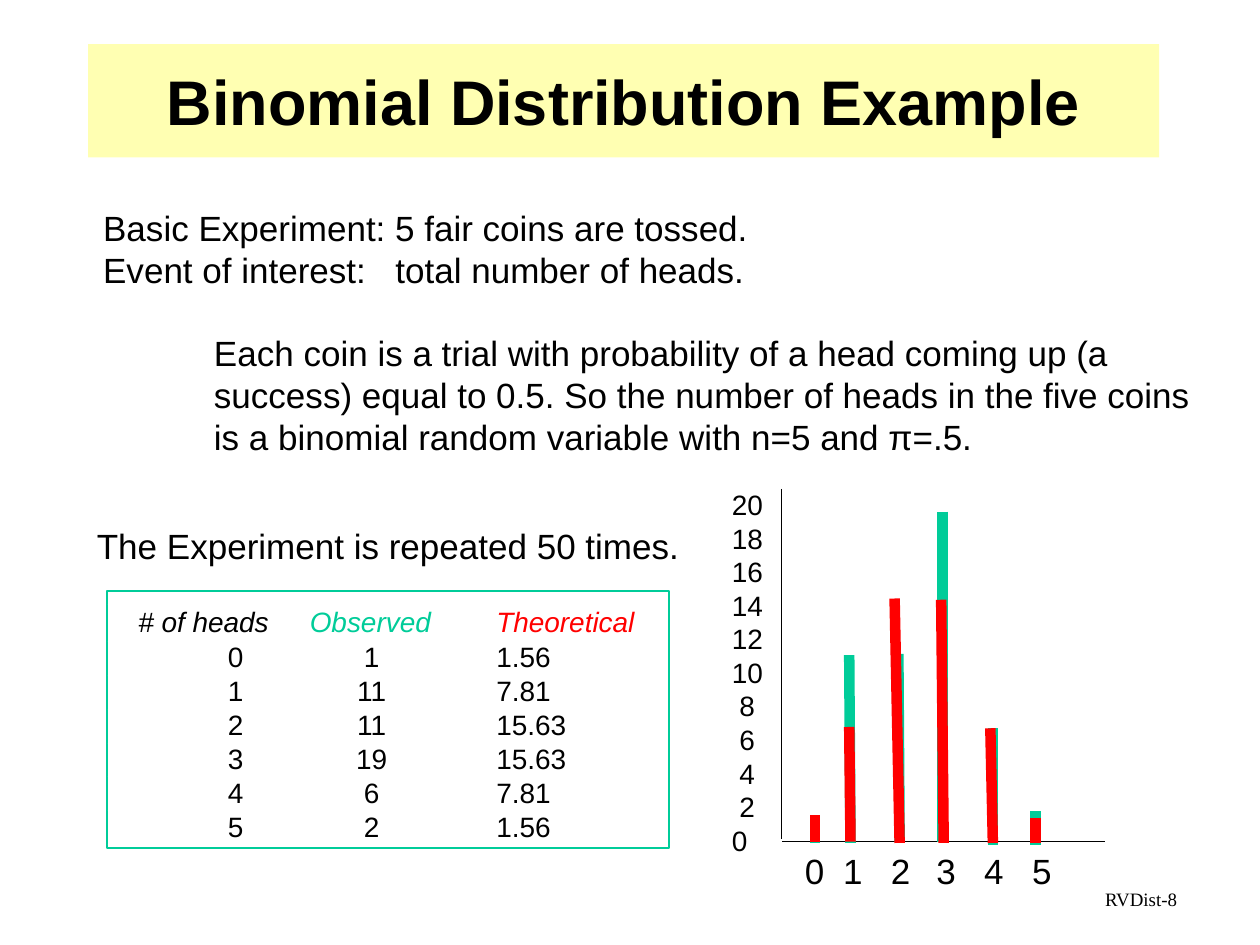
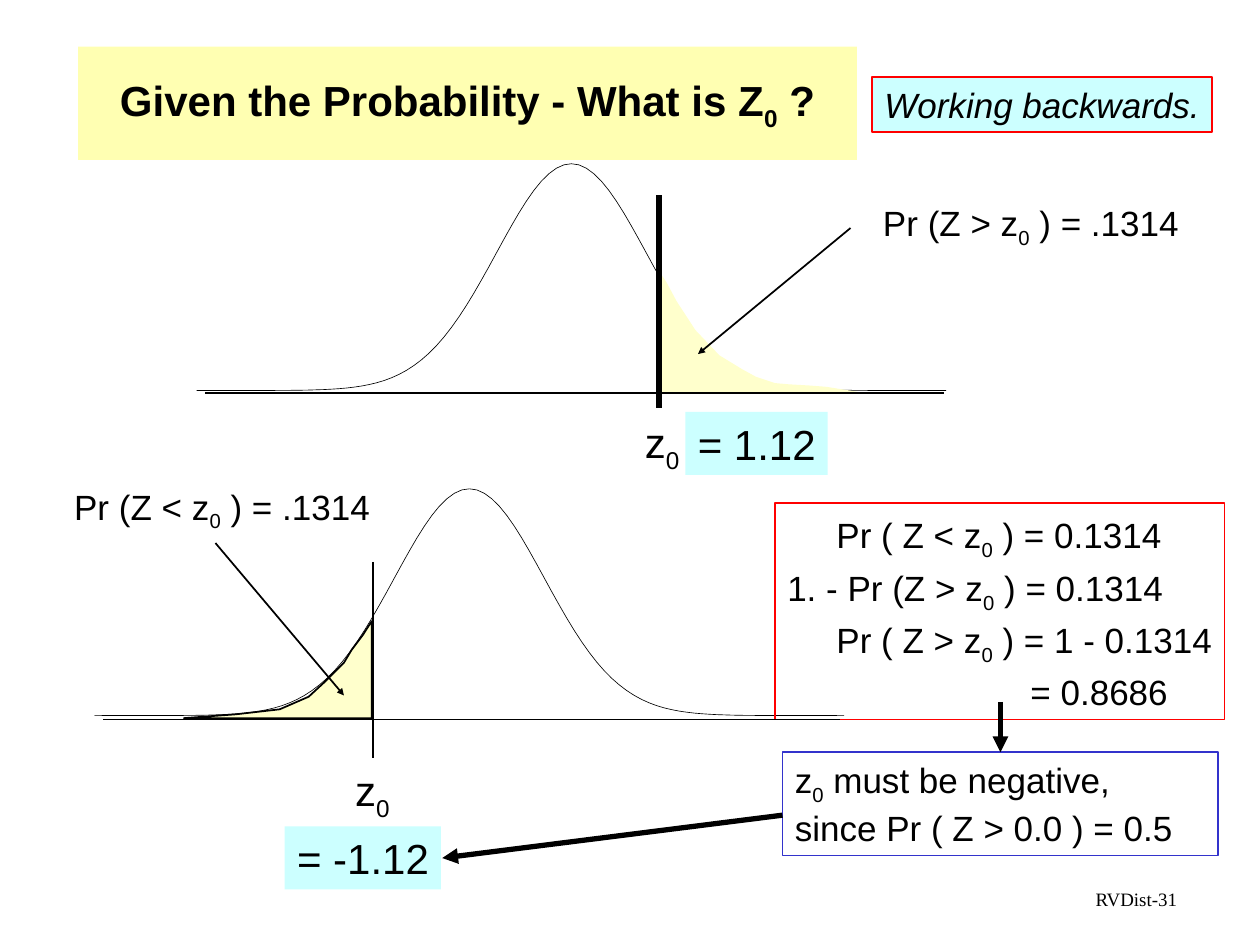
from dataclasses import dataclass, field
from math import exp
from typing import Optional

from lxml.etree import SubElement
from pptx import Presentation
from pptx.dml.color import RGBColor
from pptx.enum.shapes import MSO_CONNECTOR as Connector, MSO_SHAPE as ShapeKind
from pptx.enum.text import MSO_ANCHOR as Anchor, PP_ALIGN as Align
from pptx.oxml.ns import qn
from pptx.util import Emu, Pt

PX = 9144  # 100 px to the inch


@dataclass(frozen=True)
class Theme:
    ink: str = "000000"
    band: str = "FFFF66"
    band_alpha: int = 50
    shade: str = "FFFFCC"
    answer: str = "CCFFFF"
    green: str = "00CC99"
    red: str = "FF0000"
    blue: str = "3333CC"
    font: str = "Arial"
    footer_font: str = "Times New Roman"
    title_size: float = 36
    large: float = 24
    body: float = 20
    small: float = 16
    footer_size: float = 10.8
    hairline: float = 0.75
    bar: float = 6


THEME = Theme()


@dataclass(frozen=True)
class Run:
    text: str
    subscript: bool = False


@dataclass(frozen=True)
class Line:
    """One paragraph of text; indent and tabs are in px."""
    runs: list[Run]
    indent: int = 0
    tabs: tuple[int, ...] = ()
    tab_align: str = "l"
    spacing: Optional[float] = None


@dataclass(frozen=True)
class Style:
    size: float = THEME.body
    color: str = THEME.ink
    font: str = THEME.font
    bold: bool = False
    italic: bool = False
    align: Align = Align.LEFT


@dataclass(frozen=True)
class Box:
    left: int
    top: int
    width: int
    height: int
    lines: list[Line] = field(default_factory=list)
    style: Style = Style()
    fill: Optional[str] = None
    outline: Optional[str] = None
    outline_width: float = 1
    wrap: bool = False
    anchor: Anchor = Anchor.TOP


@dataclass(frozen=True)
class Stroke:
    start: tuple[int, int]
    end: tuple[int, int]
    width: float = 1
    color: str = THEME.ink
    arrow: Optional[str] = None


@dataclass(frozen=True)
class Column:
    heading: str
    color: str
    width: int
    align: Align
    heading_indent: int
    body_indent: int
    values: list[str]


def px(length: float) -> Emu:
    return Emu(round(length * PX))


def rgb(color: str) -> RGBColor:
    return RGBColor.from_string(color)


def plain(text: str, **options) -> Line:
    return Line([Run(text)], **options)


def z0(before: str, after: str = "", symbol: str = "z", **options) -> Line:
    """A line holding the symbol with a subscript 0."""
    runs = [Run(before + symbol), Run("0", subscript=True)]
    return Line(runs + ([Run(after)] if after else []), **options)


def write_line(paragraph, line: Line, style: Style) -> None:
    paragraph.alignment = style.align
    properties = paragraph._p.get_or_add_pPr()
    if line.indent:
        properties.set("marL", str(px(line.indent)))
        properties.set("indent", "0")
    if line.tabs:
        tab_list = SubElement(properties, qn("a:tabLst"))
        for position in line.tabs:
            SubElement(tab_list, qn("a:tab"), pos=str(px(position)), algn=line.tab_align)
    if line.spacing:
        paragraph.line_spacing = line.spacing
    for piece in line.runs:
        run = paragraph.add_run()
        run.text = piece.text
        run.font.name, run.font.size = style.font, Pt(style.size)
        run.font.bold, run.font.italic = style.bold, style.italic
        run.font.color.rgb = rgb(style.color)
        if piece.subscript:
            run._r.get_or_add_rPr().set("baseline", "-25000")


def paint(shape, fill: Optional[str], outline: Optional[str], width: float = 1) -> None:
    shape.shadow.inherit = False
    if fill:
        shape.fill.solid()
        shape.fill.fore_color.rgb = rgb(fill)
    else:
        shape.fill.background()
    if outline:
        shape.line.color.rgb = rgb(outline)
        shape.line.width = Pt(width)
    else:
        shape.line.fill.background()


def add_box(slide, box: Box):
    frame = [px(n) for n in (box.left, box.top, box.width, box.height)]
    if box.fill or box.outline:
        shape = slide.shapes.add_shape(ShapeKind.RECTANGLE, *frame)
        paint(shape, box.fill, box.outline, box.outline_width)
    else:
        shape = slide.shapes.add_textbox(*frame)
    text_frame = shape.text_frame
    text_frame.word_wrap = box.wrap
    text_frame.vertical_anchor = box.anchor
    for index, line in enumerate(box.lines):
        paragraph = text_frame.add_paragraph() if index else text_frame.paragraphs[0]
        write_line(paragraph, line, box.style)
    return shape


def add_stroke(slide, stroke: Stroke) -> None:
    ends = [px(n) for n in (*stroke.start, *stroke.end)]
    connector = slide.shapes.add_connector(Connector.STRAIGHT, *ends)
    connector.line.color.rgb = rgb(stroke.color)
    connector.line.width = Pt(stroke.width)
    if stroke.arrow:
        SubElement(connector.line._get_or_add_ln(), qn("a:tailEnd"),
                   type="triangle", w=stroke.arrow, len=stroke.arrow)
    SubElement(connector._element.spPr, qn("a:effectLst"))


def add_outline(slide, points: list[tuple[float, float]], closed: bool,
                fill: Optional[str], outline: Optional[str], width: float = 1) -> None:
    corners = [(px(x), px(y)) for x, y in points]
    builder = slide.shapes.build_freeform(*corners[0], scale=1.0)
    builder.add_line_segments(corners[1:], close=closed)
    paint(builder.convert_to_shape(), fill, outline, width)


def add_bell_curve(slide, left: int, top: int) -> None:
    """The normal density from -5 to 5 standard deviations."""
    deviation, height, steps = 59.5, 180, 100
    scores = [10 * step / steps - 5 for step in range(steps + 1)]
    points = [(left + (score + 5) * deviation, top + height * (1 - exp(-score ** 2 / 2)))
              for score in scores]
    add_outline(slide, points, False, None, THEME.ink, 0.37)


def add_title(slide, left: int, top: int, width: int, line: Line, size: float) -> None:
    style = Style(size=size, bold=True, align=Align.CENTER)
    shape = add_box(slide, Box(left, top, width, 90, [line], style, fill=THEME.band,
                               wrap=True, anchor=Anchor.MIDDLE))
    color = shape._element.spPr.find(qn("a:solidFill"))[0]
    SubElement(color, qn("a:alpha"), val=str(THEME.band_alpha * 1000))


def add_footer(slide, number: int) -> None:
    style = Style(THEME.footer_size, font=THEME.footer_font, align=Align.RIGHT)
    line = plain(f"RVDist-{number}", spacing=0.8)
    add_box(slide, Box(717, 703, 227, 30, [line], style, wrap=True))


def add_results_table(slide, left: int, top: int, columns: list[Column]) -> None:
    heading_height, row_height = 29, 27
    row_count = len(columns[0].values) + 1
    table = slide.shapes.add_table(
        row_count, len(columns), px(left), px(top), px(sum(c.width for c in columns)),
        px(heading_height + row_height * (row_count - 1))).table
    table.first_row = table.horz_banding = False
    for index, row in enumerate(table.rows):
        row.height = px(row_height if index else heading_height)
    for column_index, column in enumerate(columns):
        table.columns[column_index].width = px(column.width)
        for row_index, text in enumerate([column.heading, *column.values]):
            is_heading = row_index == 0
            cell = table.cell(row_index, column_index)
            cell.fill.background()
            cell.vertical_anchor = Anchor.MIDDLE
            cell.margin_top = cell.margin_bottom = cell.margin_right = 0
            cell.margin_left = px(column.heading_indent if is_heading else column.body_indent)
            style = Style(THEME.small, column.color if is_heading else THEME.ink,
                          italic=is_heading, align=column.align)
            write_line(cell.text_frame.paragraphs[0], plain(text), style)


def add_heads_sketch(slide) -> None:
    """A hand-drawn bar sketch: uneven, slightly leaning sticks on two axes."""
    heads = plain("0\t1\t2\t3\t4\t5", tabs=(38, 76, 112, 150, 188), tab_align="ctr")
    counts = [plain(str(count), indent=6 if 0 < count < 10 else 0)
              for count in range(20, -1, -2)]
    add_box(slide, Box(629, 669, 225, 44, [heads]))
    add_box(slide, Box(571, 382, 50, 303, counts, Style(THEME.small)))
    for start, end in (((620, 388), (620, 666)), ((621, 668), (877, 668))):
        add_stroke(slide, Stroke(start, end, THEME.hairline))
    observed = [((647, 657), (647, 669)), ((674, 520), (675, 669)), ((713, 519), (714, 668)),
                ((748, 406), (748, 668)), ((788, 578), (788, 671)), ((822, 644), (822, 671))]
    theoretical = [((647, 647), (647, 668)), ((674, 577), (675, 668)), ((710, 475), (714, 669)),
                   ((747, 476), (749, 669)), ((786, 578), (788, 669)), ((822, 649), (822, 669))]
    for sticks, color in ((observed, THEME.green), (theoretical, THEME.red)):
        for top, foot in sticks:
            add_stroke(slide, Stroke(top, foot, THEME.bar, color))


def build_binomial_slide(slide) -> None:
    add_title(slide, 70, 35, 850, plain("Binomial Distribution Example"), THEME.title_size)
    experiment = [plain("Basic Experiment: 5 fair coins are tossed."),
                  plain("Event of interest:\ttotal number of heads.", tabs=(232,))]
    explanation = plain("Each coin is a trial with probability of a head coming up (a success) "
                        "equal to 0.5. So the number of heads in the five coins is a binomial "
                        "random variable with n=5 and π=.5.")
    for box in (Box(72, 159, 545, 77, experiment),
                Box(160, 258, 807, 110, [explanation], wrap=True),
                Box(67, 411, 495, 44, [plain("The Experiment is repeated 50 times.")]),
                Box(85, 469, 446, 204, outline=THEME.green, outline_width=THEME.hairline)):
        add_box(slide, box)
    add_results_table(slide, 86, 480, [
        Column("# of heads", THEME.ink, 151, Align.CENTER, 0, 51, list("012345")),
        Column("Observed", THEME.green, 114, Align.CENTER, 0, 2,
               ["1", "11", "11", "19", "6", "2"]),
        Column("Theoretical", THEME.red, 170, Align.LEFT, 43, 43,
               ["1.56", "7.81", "15.63", "15.63", "7.81", "1.56"])])
    add_heads_sketch(slide)
    add_footer(slide, 8)


def build_backwards_slide(slide) -> None:
    left_tail = [(295, 493), (295, 570), (146, 570), (187, 567), (222, 563), (245, 553),
                 (258, 541), (273, 526), (279, 516), (288, 504)]
    right_tail = [(521, 212), (523, 311), (681, 311), (656, 307), (643, 306), (626, 305),
                  (615, 304), (600, 299), (589, 293), (571, 282), (552, 262), (537, 239),
                  (529, 224)]
    add_bell_curve(slide, 156, 130)
    add_outline(slide, right_tail, True, THEME.shade, None)
    add_outline(slide, left_tail, True, THEME.shade, THEME.ink)
    add_bell_curve(slide, 75, 388)

    large = Style(THEME.large)
    steps = [z0("Pr ( Z < ", " ) = 0.1314", indent=39, spacing=1.1),
             z0("1. - Pr (Z > ", " ) = 0.1314", spacing=1.1),
             z0("Pr ( Z > ", " ) = 1 - 0.1314", indent=39, spacing=1.1),
             plain("= 0.8686", indent=193, spacing=1.1)]
    reason = [z0("", " must be negative,"), plain("since Pr ( Z > 0.0 ) = 0.5")]
    for box in (Box(502, 326, 55, 56, [z0("")], large),
                Box(272, 602, 55, 56, [z0("")], large),
                Box(544, 327, 113, 50, [plain("= 1.12")], large, fill=THEME.answer),
                Box(226, 656, 124, 50, [plain("= -1.12")], large, fill=THEME.answer),
                Box(692, 61, 270, 44, [plain("Working backwards.")], Style(italic=True),
                    fill=THEME.answer, outline=THEME.red),
                Box(691, 155, 260, 48, [z0("Pr (Z > ", " ) = .1314")]),
                Box(49, 380, 260, 48, [z0("Pr (Z < ", " ) = .1314")]),
                Box(615, 399, 357, 172, steps, outline=THEME.red),
                Box(621, 597, 346, 82, reason, outline=THEME.blue, wrap=True)):
        add_box(slide, box)
    for stroke in (Stroke((163, 312), (749, 312)),
                   Stroke((82, 571), (667, 571)),
                   Stroke((523, 155), (523, 324), width=3),
                   Stroke((296, 446), (296, 602)),
                   Stroke((675, 181), (554, 281), arrow="sm"),
                   Stroke((171, 431), (273, 552), arrow="sm"),
                   Stroke((794, 557), (794, 597), width=3, arrow="med"),
                   Stroke((621, 647), (351, 681), width=3, arrow="med")):
        add_stroke(slide, stroke)
    add_title(slide, 62, 37, 618,
              z0("Given the Probability - What is ", " ?", symbol="Z"), THEME.large)
    add_footer(slide, 31)


def main() -> None:
    presentation = Presentation()
    presentation.slide_width, presentation.slide_height = px(1000), px(750)
    blank = presentation.slide_layouts[6]
    for build in (build_binomial_slide, build_backwards_slide):
        build(presentation.slides.add_slide(blank))
    presentation.save("out.pptx")


if __name__ == "__main__":
    main()
